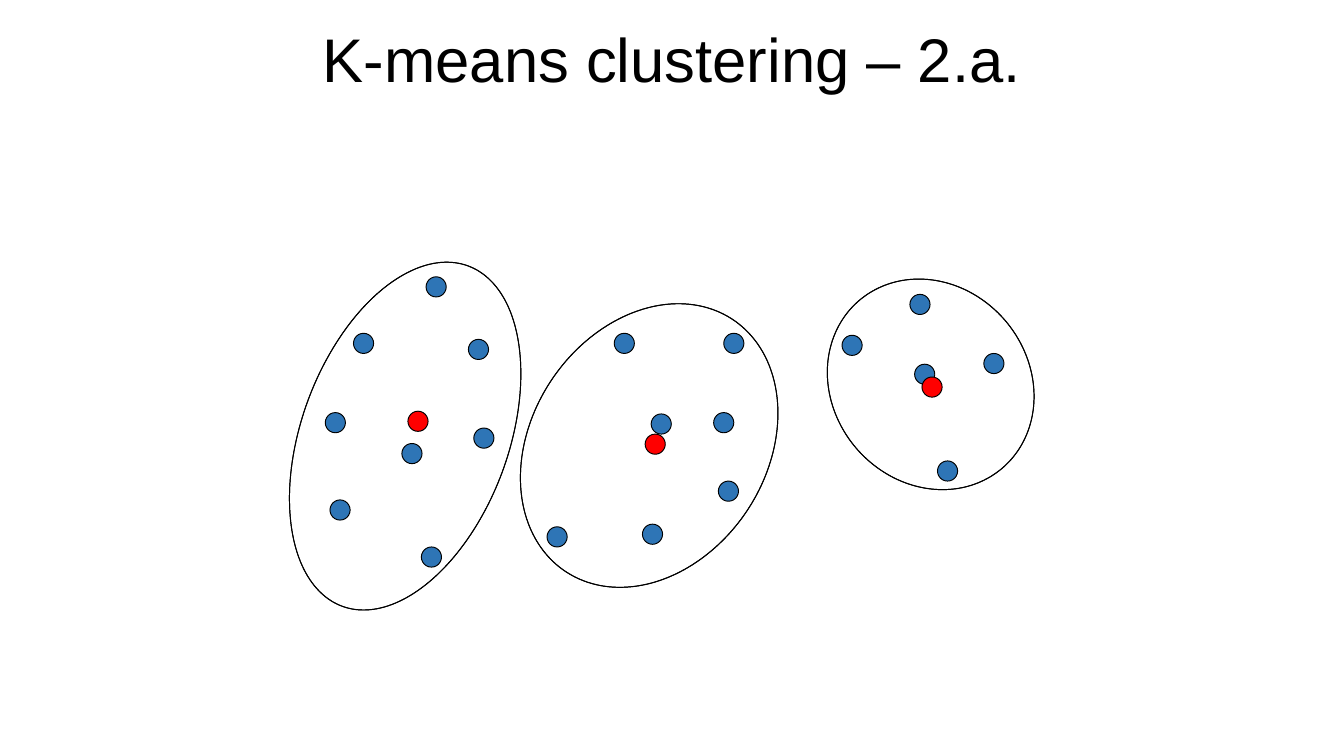
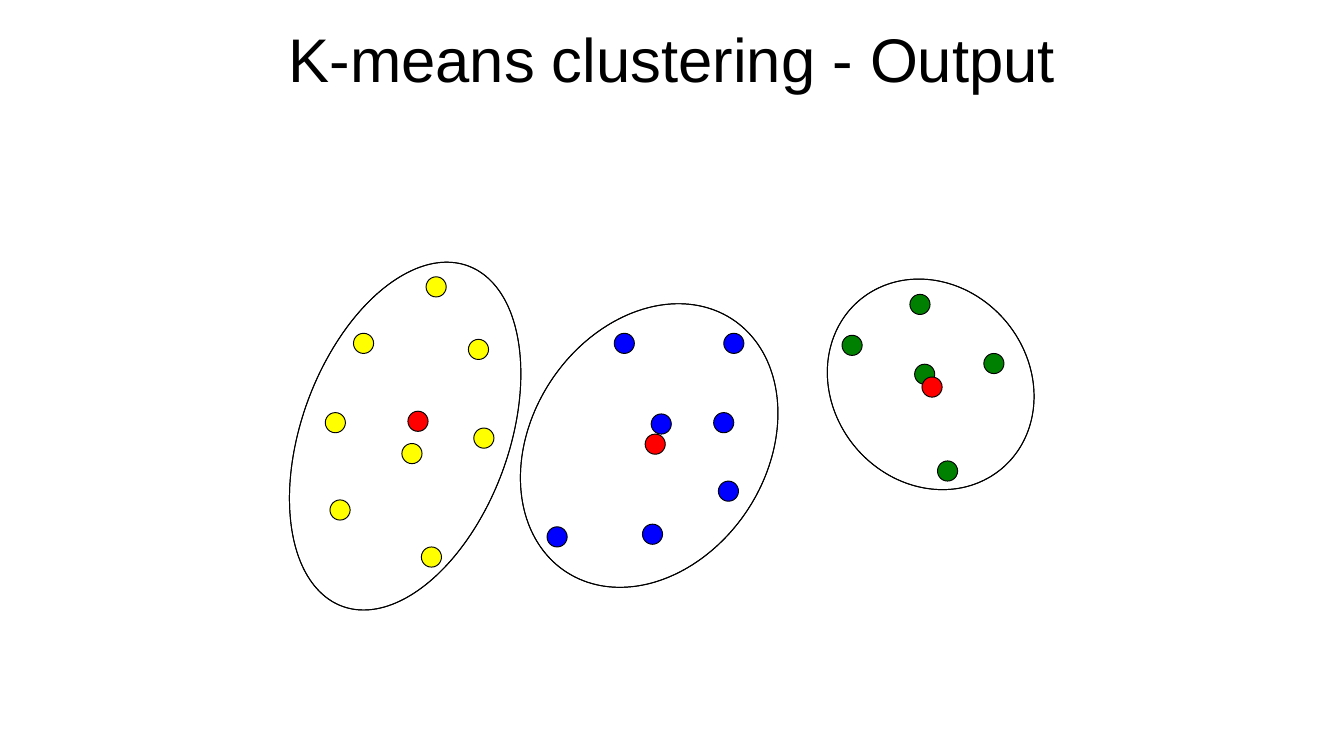
from dataclasses import dataclass

from pptx import Presentation
from pptx.dml.color import RGBColor
from pptx.enum.shapes import MSO_SHAPE as Shape
from pptx.enum.text import MSO_ANCHOR as Anchor, MSO_AUTO_SIZE as AutoSize, PP_ALIGN as Align
from pptx.util import Pt

PX = 4572  # EMU, 200 px to the inch
PAGE_SIZE = (2000, 1125)
TITLE_BOX = (325, 0, 1350, 187)
TITLE_ONLY = 5
DOT_SIZE = 30

BLACK = "000000"
STEEL = "2E75B6"
RED = "FF0000"
YELLOW = "FFFF00"
BLUE = "0000FF"
GREEN = "008000"


@dataclass
class Cluster:
    """A rotated ring; points and centroid are offsets from its box."""
    box: tuple
    angle: float
    points: list
    centroid: tuple


CLUSTERS = [
    Cluster((449, 379, 308, 540), 20.3,
            [(77, 117), (35, 235), (248, 126), (42, 365), (256, 258), (185, 33), (178, 435), (149, 281)],
            (158, 233)),
    Cluster((791, 438, 350, 450), 33.5,
            [(123, 58), (286, 58), (178, 178), (23, 346), (271, 176), (165, 342), (278, 278)],
            (169, 208)),
    Cluster((1239, 408, 292, 328), 319.5,
            [(115, 30), (225, 118), (122, 134), (14, 91), (156, 278)],
            (133, 153)),
]

PAGES = [
    ("K-means clustering – 2.a.", [STEEL] * 3),
    ("K-means clustering - Output", [YELLOW, BLUE, GREEN]),
]


def emu(lengths):
    return [length * PX for length in lengths]


def color(hex_text):
    return RGBColor.from_string(hex_text)


def set_all(target, formats):
    for name, value in formats.items():
        setattr(target, name, value)


def add_outlined(page, kind, box, fill):
    shape = page.shapes.add_shape(kind, *emu(box))
    shape.shadow.inherit = False
    shape.fill.solid()
    shape.fill.fore_color.rgb = color(fill)
    shape.line.color.rgb = color(BLACK)
    shape.line.width = Pt(0.5)
    return shape


def add_cluster(page, cluster, dot_color):
    left, top = cluster.box[:2]
    ring = add_outlined(page, Shape.DONUT, cluster.box, BLACK)
    ring.adjustments[0] = 0
    ring.rotation = cluster.angle
    dots = [(point, dot_color) for point in cluster.points] + [(cluster.centroid, RED)]
    for (x, y), fill in dots:
        add_outlined(page, Shape.OVAL, (left + x, top + y, DOT_SIZE, DOT_SIZE), fill)


def set_title(page, text, box):
    title = page.shapes.title
    set_all(title, dict(zip(("left", "top", "width", "height"), emu(box))))
    frame = title.text_frame
    frame.text = text
    set_all(frame, {"word_wrap": True, "auto_size": AutoSize.NONE, "vertical_anchor": Anchor.MIDDLE})
    para = frame.paragraphs[0]
    set_all(para, {"alignment": Align.CENTER, "line_spacing": 0.9})
    span = para.runs[0]
    set_all(span.font, {"name": "Arial", "size": Pt(33)})
    span.font.color.rgb = color(BLACK)


def add_cluster_page(deck, title, dot_colors):
    page = deck.slides.add_slide(deck.slide_layouts[TITLE_ONLY])
    set_title(page, title, TITLE_BOX)
    for cluster, dot_color in zip(CLUSTERS, dot_colors):
        add_cluster(page, cluster, dot_color)


def main():
    deck = Presentation()
    deck.slide_width, deck.slide_height = emu(PAGE_SIZE)
    for title, dot_colors in PAGES:
        add_cluster_page(deck, title, dot_colors)
    deck.save("out.pptx")


if __name__ == "__main__":
    main()
